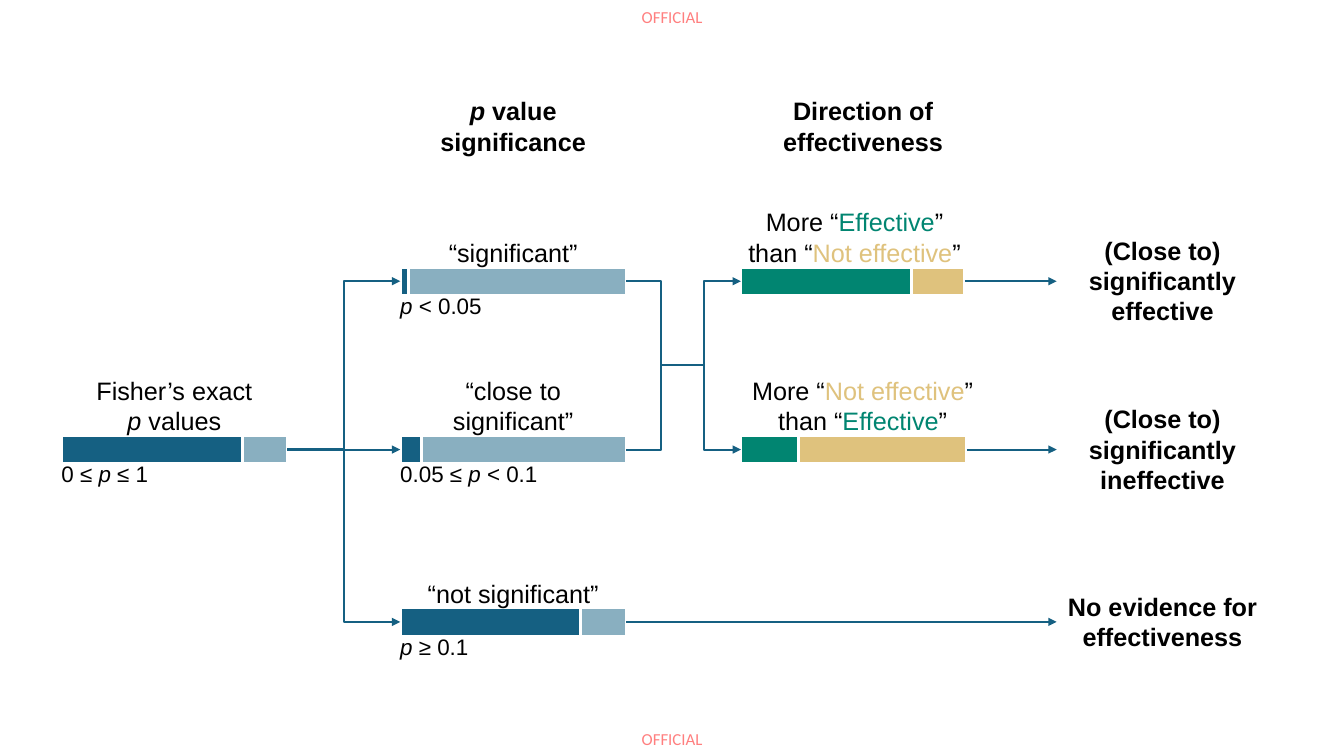
from lxml import etree
from pptx import Presentation
from pptx import util as u
from pptx.dml.color import RGBColor
from pptx.enum import shapes, text
from pptx.oxml.ns import qn

WIDTH, HEIGHT = 13.33, 7.5
BLUE, GREEN, SAND = "156082", "018571", "DFC27D"
BLACK, WHITE, RED = "000000", "FFFFFF", "FF0000"
SOURCE_X, LEVEL_X, DIRECTION_X, OUTCOME_X = 0.61, 3.97, 7.35, 10.48
TOP_ROW, MIDDLE_ROW, BOTTOM_ROW = 2.79, 4.46, 6.17
BAR_WIDTH, BAR_HEIGHT = 2.24, 0.28
MERGE_X, SPLIT_X = 6.56, 6.98
JOIN_Y = (TOP_ROW + MIDDLE_ROW) / 2
LINE_HEIGHT = {1: 0.4, 2: 0.71, 3: 1.01}
P = ("p", {"italic": True})


def paint(fill, color, alpha=100):
    fill.solid()
    fill.fore_color.rgb = RGBColor.from_string(color)
    if alpha < 100:
        tint = fill._xPr.find(".//" + qn("a:srgbClr"))
        etree.SubElement(tint, qn("a:alpha")).set("val", str(alpha * 1000))


def write(slide, box, parts, size=18, align=text.PP_ALIGN.CENTER, margins=None,
          bold=False, font="Arial", color=BLACK, alpha=100, wrap=True):
    label = slide.shapes.add_textbox(*map(u.Inches, box))
    frame = label.text_frame
    frame.word_wrap = wrap
    frame.auto_size = text.MSO_AUTO_SIZE.SHAPE_TO_FIT_TEXT
    if margins:
        (frame.margin_left, frame.margin_top,
         frame.margin_right, frame.margin_bottom) = map(u.Inches, margins)
    paragraph = frame.paragraphs[0]
    paragraph.alignment = align
    for part in parts:
        if part == "\n":
            paragraph.add_line_break()
            continue
        words, style = part if isinstance(part, tuple) else (part, {})
        run = paragraph.add_run()
        run.text = words
        run.font.name = font
        run.font.size = u.Pt(size)
        run.font.bold = bold
        run.font.italic = style.get("italic", False)
        paint(run.font.fill, style.get("color", color), alpha)
    return label


def split_bar(slide, x, middle, width, share, first, second):
    first_width = width * share
    top = middle - BAR_HEIGHT / 2
    for left, length, (color, alpha) in ((x, first_width, first),
                                         (x + first_width, width - first_width, second)):
        segment = slide.shapes.add_shape(
            shapes.MSO_SHAPE.RECTANGLE, *map(u.Inches, (left, top, length, BAR_HEIGHT)))
        segment.shadow.inherit = False
        paint(segment.fill, color, alpha)
        paint(segment.line.fill, WHITE)
        segment.line.width = u.Pt(2)
        if left == x:
            start = segment
    return start, segment


def label_above(slide, x, middle, width, lines, parts):
    height = LINE_HEIGHT[lines]
    write(slide, (x, middle - 0.08 - height, width, height), parts)


def p_value_level(slide, x, middle, share, lines, title, limits):
    ends = split_bar(slide, x, middle, BAR_WIDTH, share, (BLUE, 100), (BLUE, 50))
    write(slide, (x, middle + 0.06, BAR_WIDTH, 0.37), limits, size=16,
          align=text.PP_ALIGN.LEFT, margins=(0, 0.05, 0.1, 0.05))
    label_above(slide, x, middle, BAR_WIDTH, lines, title)
    return ends


def direction(slide, x, middle, width, share, label_shift, more, less):
    ends = split_bar(slide, x, middle, width, share, (GREEN, 100), (SAND, 100))
    label_above(slide, x + label_shift, middle, 2.49, 2,
                ["More “", more, "” than “", less, "”"])
    return ends


def outcome(slide, x, middle, lines, words):
    height = LINE_HEIGHT[lines]
    return write(slide, (x, middle - height / 2, 2.1, height), [words], bold=True)


def heading(slide, x, parts):
    write(slide, (x, 0.12 * HEIGHT, BAR_WIDTH, LINE_HEIGHT[2]), parts, bold=True)


def marking(slide, top):
    width = 0.64
    write(slide, ((WIDTH - width) / 2 + 0.02, top, width, 0.2), ["OFFICIAL"], size=12,
          align=text.PP_ALIGN.LEFT, margins=(0, 0, 0, 0), font="Calibri",
          color=RED, alpha=50, wrap=False)


def link(slide, start, end, kind=shapes.MSO_CONNECTOR.STRAIGHT, arrow="tailEnd", corner=False):
    connector = slide.shapes.add_connector(kind, *map(u.Inches, (*start, *end)))
    paint(connector.line.fill, BLUE)
    connector.line.width = u.Pt(1.5)
    properties = connector._element.spPr
    if arrow:
        tip = etree.SubElement(connector.line._get_or_add_ln(), qn("a:" + arrow))
        tip.set("type", "triangle")
    if corner:
        properties.find(qn("a:prstGeom")).set("prst", "bentConnector2")
    etree.SubElement(properties, qn("a:effectLst"))
    return connector


def joined_arrow(slide, source, target):
    arrow = link(slide, (0, 0), (1, 0))
    arrow.begin_connect(source, 3)
    arrow.end_connect(target, 1)


def branches(slide, source_end, close_start):
    joined_arrow(slide, source_end, close_start)
    for row in (TOP_ROW, BOTTOM_ROW):
        link(slide, (SOURCE_X + BAR_WIDTH, MIDDLE_ROW), (LEVEL_X, row),
             shapes.MSO_CONNECTOR.ELBOW)


def merge_and_split(slide):
    elbow = shapes.MSO_CONNECTOR.ELBOW
    link(slide, (MERGE_X, JOIN_Y), (SPLIT_X, JOIN_Y), arrow=None)
    for row in (TOP_ROW, MIDDLE_ROW):
        link(slide, (LEVEL_X + BAR_WIDTH, row), (MERGE_X, JOIN_Y), elbow,
             arrow=None, corner=True)
        link(slide, (DIRECTION_X, row), (SPLIT_X, JOIN_Y), elbow,
             arrow="headEnd", corner=True)


def decision_flow(slide):
    effective = ("Effective", {"color": GREEN})
    not_effective = ("Not effective", {"color": SAND})

    heading(slide, LEVEL_X, [P, " value significance"])
    heading(slide, 7.44, ["Direction of effectiveness"])

    _, source_end = p_value_level(slide, SOURCE_X, MIDDLE_ROW, 0.8, 2,
                                  ["Fisher’s exact", "\n", P, " values"], ["0 ≤ ", P, " ≤ 1"])
    p_value_level(slide, LEVEL_X, TOP_ROW, 0.036, 1, ["“significant”"], [P, " < 0.05"])
    close_start, _ = p_value_level(slide, LEVEL_X, MIDDLE_ROW, 0.094, 2,
                                   ["“close to significant”"], ["0.05 ≤ ", P, " < 0.1"])
    _, unclear_end = p_value_level(slide, LEVEL_X, BOTTOM_ROW, 0.8, 1,
                                   ["“not significant”"], [P, " ≥ 0.1"])
    _, effective_end = direction(slide, DIRECTION_X, TOP_ROW, 2.22, 0.76, -0.12,
                                 effective, not_effective)
    _, ineffective_end = direction(slide, DIRECTION_X, MIDDLE_ROW, 2.24, 0.256, -0.04,
                                   not_effective, effective)

    branches(slide, source_end, close_start)
    merge_and_split(slide)
    for bar_end, row, lines, words in (
            (effective_end, TOP_ROW, 3, "(Close to) significantly effective"),
            (ineffective_end, MIDDLE_ROW, 3, "(Close to) significantly ineffective"),
            (unclear_end, BOTTOM_ROW, 2, "No evidence for effectiveness")):
        joined_arrow(slide, bar_end, outcome(slide, OUTCOME_X, row, lines, words))


def main():
    deck = Presentation()
    deck.slide_width, deck.slide_height = u.Inches(WIDTH), u.Inches(HEIGHT)
    slide = deck.slides.add_slide(deck.slide_layouts[6])
    for top in (0.07, 7.23):
        marking(slide, top)
    decision_flow(slide)
    deck.save("out.pptx")


if __name__ == "__main__":
    main()
